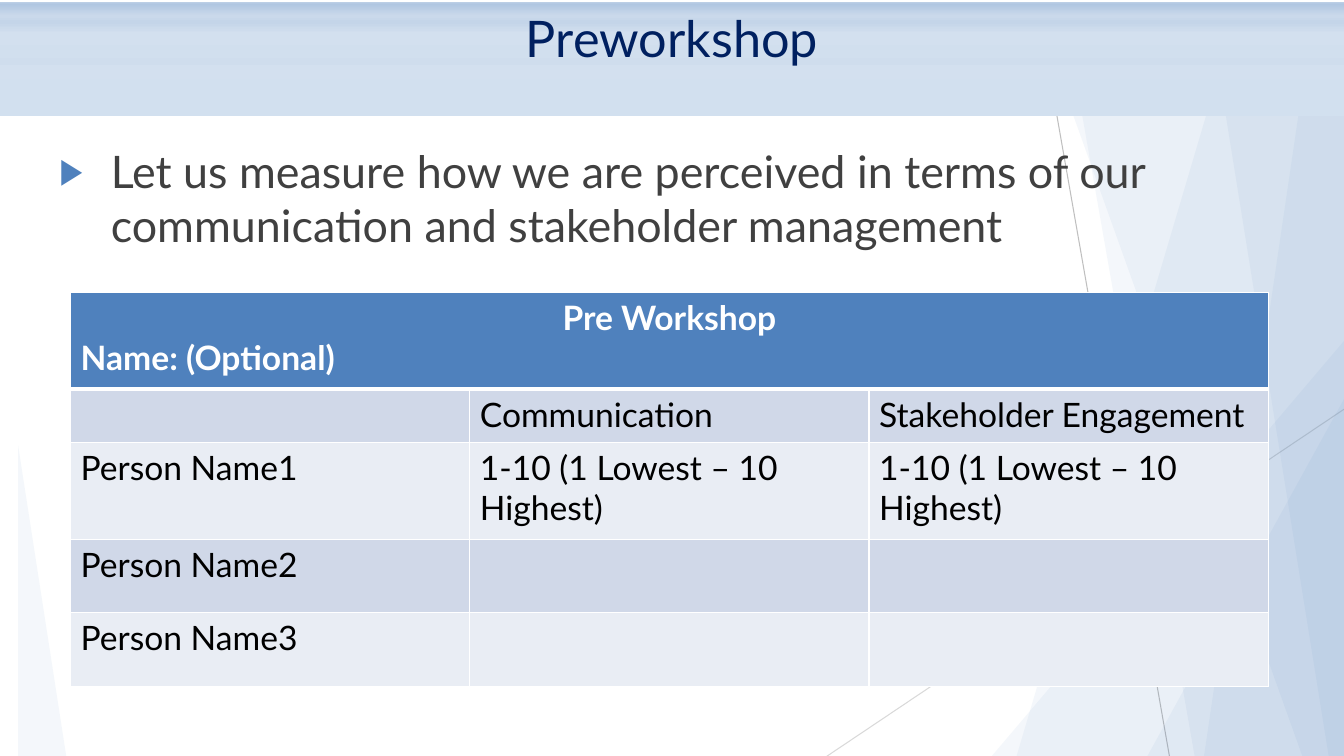
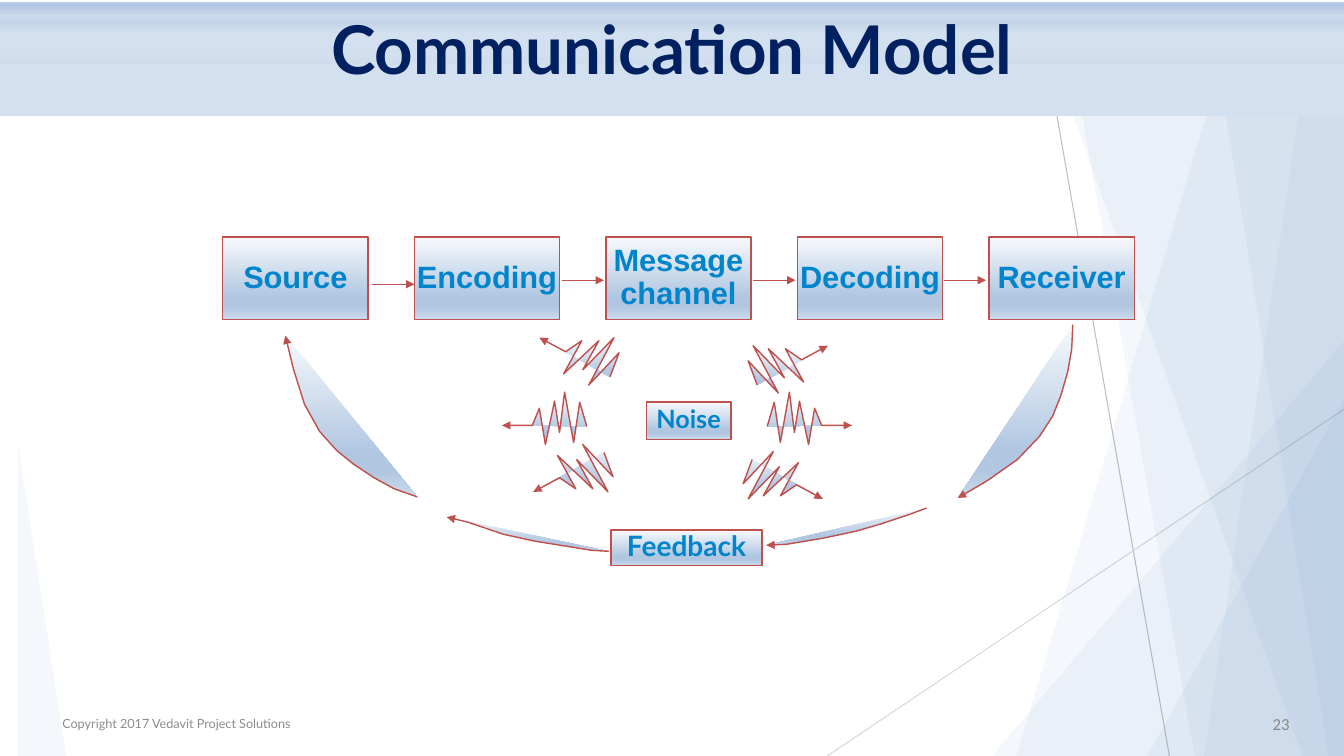
from lxml.etree import SubElement
from pptx import Presentation
from pptx.dml.color import RGBColor
from pptx.enum.shapes import MSO_CONNECTOR, MSO_SHAPE
from pptx.enum.text import MSO_ANCHOR, MSO_AUTO_SIZE, PP_ALIGN
from pptx.oxml import parse_xml
from pptx.oxml.ns import nsdecls, qn
from pptx.util import Inches, Pt

COLORS = {
    "accent": "4F81BD", "navy": "002060", "body": "404040", "white": "FFFFFF",
    "black": "000000", "red": "C0504D", "label": "0084CC", "copyright": "8C8C8C",
    "number": "898989", "steep": "BFBFBF", "shallow": "D9D9D9",
    "dark_band": "D0D8E8", "light_band": "E9EDF4",
}
TITLE_GRADIENT = [
    (0, "BDD0E6"), (2, "B0C6E1"), (12, "CAD9EB"), (18, "C4D5E9"), (28, "D3E0EF"),
    (38, "D1DFEE"), (49, "CFDDED"), (61, "D3E0EF"), (68, "D2E0EF"), (69, "D3E0EF"),
]
BOX_GRADIENT = [(0, "F6F9FC"), (74, "B0C6E1"), (83, "B0C6E1"), (100, "CAD9EB")]


def write_text(frame, text, size=24, color="black", font="Lato", bold=False,
               align=PP_ALIGN.LEFT, anchor=MSO_ANCHOR.TOP, wrap=True, spacing=1.0):
    frame.word_wrap = wrap
    frame.auto_size = MSO_AUTO_SIZE.NONE
    frame.vertical_anchor = anchor
    for index, line in enumerate(text.split("\n")):
        paragraph = frame.paragraphs[0] if index == 0 else frame.add_paragraph()
        paragraph.alignment = align
        paragraph.line_spacing = spacing
        run = paragraph.add_run()
        run.text = line
        run.font.name = font
        run.font.size = Pt(size)
        run.font.bold = bold
        run.font.color.rgb = RGBColor.from_string(COLORS[color])


def style_shape(shape, fill=None, gradient=None, alpha=100, line=None, width=1, arrow=False):
    properties = shape.element.spPr
    if gradient:
        shape.fill.gradient()
        shape.fill.gradient_angle = 270
        stops = properties.find(".//" + qn("a:gsLst"))
        stops.clear()
        for position, color in gradient:
            stop = SubElement(stops, qn("a:gs"), pos=str(position * 1000))
            SubElement(stop, qn("a:srgbClr"), val=color)
    elif fill:
        shape.fill.solid()
        shape.fill.fore_color.rgb = RGBColor.from_string(COLORS[fill])
        color_element = properties.find(qn("a:solidFill")).find(qn("a:srgbClr"))
        SubElement(color_element, qn("a:alpha"), val=str(alpha * 1000))
    if line:
        shape.line.color.rgb = RGBColor.from_string(COLORS[line])
        shape.line.width = Pt(width)
    else:
        shape.line.fill.background()
    if arrow:
        SubElement(properties.find(qn("a:ln")), qn("a:tailEnd"), type="triangle")
    SubElement(properties, qn("a:effectLst"))


presentation = Presentation()
presentation.slide_width = Inches(13.33)
presentation.slide_height = Inches(7.5)
layout = presentation.slide_layouts[5]
for placeholder in list(layout.placeholders)[1:]:
    placeholder.element.getparent().remove(placeholder.element)

slides = []
for title_text, title_size, title_bold in [
    ("Preworkshop", 36, False),
    ("Communication Model", 48, True),
]:
    slide = presentation.slides.add_slide(layout)
    title = slide.shapes.title
    title.left, title.top = Inches(0), Inches(0.02)
    title.width, title.height = Inches(13.33), Inches(1.13)
    style_shape(title, gradient=TITLE_GRADIENT)
    write_text(title.text_frame, title_text, size=title_size, color="navy",
               bold=title_bold, align=PP_ALIGN.CENTER)
    slides.append(slide)
workshop_slide, model_slide = slides

backdrop = []
for left, top, right, bottom, color in [
    (10.29, 0.05, 11.6, 7.51, "steep"),
    (13.33, 4.06, 8.19, 7.51, "shallow"),
]:
    connector = workshop_slide.shapes.add_connector(
        MSO_CONNECTOR.STRAIGHT, Inches(left), Inches(top), Inches(right), Inches(bottom))
    style_shape(connector, line=color, width=0.75)
    backdrop.append(connector)
for top_x, bottom_x in [(12.29, 10.08), (10.54, 11.85), (10.25, 12.92),
                        (13.04, 11.94), (11.98, 13.18)]:
    builder = workshop_slide.shapes.build_freeform(Inches(top_x), Inches(0.04))
    builder.add_line_segments([
        (Inches(13.33), Inches(0.04)),
        (Inches(13.33), Inches(7.51)),
        (Inches(bottom_x), Inches(7.51)),
    ])
    panel = builder.convert_to_shape()
    style_shape(panel, fill="accent", alpha=6)
    backdrop.append(panel)
for left, top, width, height, apex in [
    (9.82, 3.37, 3.52, 4.15, 1),
    (11.37, 3.96, 1.96, 3.56, 1),
    (0.18, 4.42, 0.48, 3.1, 0),
]:
    triangle = workshop_slide.shapes.add_shape(
        MSO_SHAPE.ISOSCELES_TRIANGLE, Inches(left), Inches(top), Inches(width), Inches(height))
    triangle.adjustments[0] = apex
    style_shape(triangle, fill="accent", alpha=6)
    backdrop.append(triangle)
for shape in backdrop:
    layout.shapes.element.append(shape.element)

body = workshop_slide.shapes.add_textbox(Inches(0.49), Inches(1.38), Inches(12.49), Inches(1.3))
write_text(
    body.text_frame,
    "Let us measure how we are perceived in terms of our communication and stakeholder management",
    size=32, color="body")
bullet = body.text_frame.paragraphs[0]._p.get_or_add_pPr()
bullet.set("marL", str(Inches(0.51)))
bullet.set("indent", str(-Inches(0.51)))
SubElement(SubElement(bullet, qn("a:buClr")), qn("a:srgbClr"), val=COLORS["accent"])
SubElement(bullet, qn("a:buSzPct"), val="80000")
SubElement(bullet, qn("a:buFont"), typeface="Arial")
SubElement(bullet, qn("a:buChar"), char="▶")

rows = [
    ["Pre Workshop\nName: (Optional)", "", ""],
    ["", "Communication", "Stakeholder Engagement"],
    ["Person Name1", "1-10 (1 Lowest – 10 Highest)", "1-10 (1 Lowest – 10 Highest)"],
    ["Person Name2", "", ""],
    ["Person Name3", "", ""],
]
row_heights = [0.96, 0.53, 0.96, 0.73, 0.73]
table = workshop_slide.shapes.add_table(
    len(rows), 3, Inches(0.7), Inches(2.9), Inches(11.88), Inches(sum(row_heights))).table
for column in table.columns:
    column.width = Inches(3.96)
table.cell(0, 0).merge(table.cell(0, 2))
for row_index, row in enumerate(rows):
    table.rows[row_index].height = Inches(row_heights[row_index])
    header = row_index == 0
    fill = "accent" if header else "dark_band" if row_index % 2 else "light_band"
    for column_index, text in enumerate(row):
        cell = table.cell(row_index, column_index)
        cell.fill.solid()
        cell.fill.fore_color.rgb = RGBColor.from_string(COLORS[fill])
        if text:
            write_text(cell.text_frame, text, color="white" if header else "black", bold=header)
        for position, side in enumerate("LRTB"):
            thick = (header and side == "B") or (row_index == 1 and side == "T")
            border = parse_xml(
                f'<a:ln{side} {nsdecls("a")} w="{Pt(3 if thick else 1)}"><a:solidFill>'
                f'<a:srgbClr val="{COLORS["white"]}"/></a:solidFill></a:ln{side}>')
            cell._tc.get_or_add_tcPr().insert(position, border)
table.cell(0, 0).text_frame.paragraphs[0].alignment = PP_ALIGN.CENTER

stages = ["Source", "Encoding", "Message\nchannel", "Decoding", "Receiver"]
boxes = [(stage, 2.21 + 1.9 * index, 2.35, 1.44, 0.82, 22, "Arial")
         for index, stage in enumerate(stages)]
boxes += [("Feedback", 6.06, 5.26, 1.5, 0.35, 20, "Lato"),
          ("Noise", 6.41, 3.99, 0.84, 0.37, 18, "Lato")]
for text, left, top, width, height, size, font in boxes:
    box = model_slide.shapes.add_shape(
        MSO_SHAPE.RECTANGLE, Inches(left), Inches(top), Inches(width), Inches(height))
    style_shape(box, gradient=BOX_GRADIENT, line="red")
    write_text(box.text_frame, text, size=size, color="label", font=font, bold=True,
               align=PP_ALIGN.CENTER, anchor=MSO_ANCHOR.MIDDLE, wrap=False, spacing=0.9)

for left, top in [(3.69, 2.82), (5.57, 2.78), (7.47, 2.78), (9.36, 2.78)]:
    connector = model_slide.shapes.add_connector(
        MSO_CONNECTOR.STRAIGHT, Inches(left), Inches(top), Inches(left + 0.42), Inches(top))
    style_shape(connector, line="red", arrow=True)

level_wave = [(5.82, 4.23), (5.75, 3.99), (5.69, 4.39), (5.6, 3.89), (5.55, 4.29),
              (5.5, 3.98), (5.41, 4.41), (5.35, 4.05), (5.28, 4.22), (4.98, 4.22)]
tilted_wave = [(6.05, 3.74), (6.14, 3.5), (5.84, 3.82), (6.09, 3.35), (5.78, 3.67),
               (5.94, 3.38), (5.59, 3.71), (5.77, 3.38), (5.61, 3.49), (5.35, 3.35)]
curves = [
    [(9.19, 5.04), (9.03, 5.1), (8.73, 5.2), (8.49, 5.27), (8.16, 5.34), (7.8, 5.4),
     (7.6, 5.41)],
    [(10.64, 3.22), (10.63, 3.46), (10.59, 3.69), (10.52, 3.93), (10.44, 4.13),
     (10.31, 4.33), (10.09, 4.56), (9.79, 4.77), (9.5, 4.94)],
    [(6.04, 5.47), (5.87, 5.46), (5.56, 5.41), (5.31, 5.37), (4.99, 5.3), (4.64, 5.18),
     (4.43, 5.13)],
    [(4.14, 4.93), (3.91, 4.85), (3.71, 4.74), (3.5, 4.6), (3.34, 4.47), (3.17, 4.28),
     (3.02, 4.01), (2.91, 3.66), (2.83, 3.33)],
]
for wave, flip_x, shift_x, flip_y, shift_y in [
    (level_wave, 1, 0, 1, 0),
    (tilted_wave, 1, 0, 1, 0),
    (tilted_wave, 1, -0.06, -1, 8.23),
    (level_wave, -1, 13.43, 1, 0),
    (tilted_wave, -1, 13.56, 1, 0.08),
    (tilted_wave, -1, 13.51, -1, 8.3),
]:
    curves.append([(flip_x * x + shift_x, flip_y * y + shift_y) for x, y in wave])
for curve in curves:
    points = [(Inches(x), Inches(y)) for x, y in curve]
    builder = model_slide.shapes.build_freeform(*points[0])
    builder.add_line_segments(points[1:], close=False)
    style_shape(builder.convert_to_shape(), gradient=BOX_GRADIENT, line="red", arrow=True)

for text, left, width, size, color, font, align in [
    ("Copyright 2017 Vedavit Project Solutions", 0.52, 7.34, 9, "copyright", "Lato",
     PP_ALIGN.LEFT),
    ("23", 12.14, 0.75, 12, "number", "Calibri", PP_ALIGN.RIGHT),
]:
    footer = model_slide.shapes.add_textbox(Inches(left), Inches(6.98), Inches(width), Inches(0.4))
    write_text(footer.text_frame, text, size=size, color=color, font=font, align=align,
               anchor=MSO_ANCHOR.MIDDLE)

presentation.save("out.pptx")
